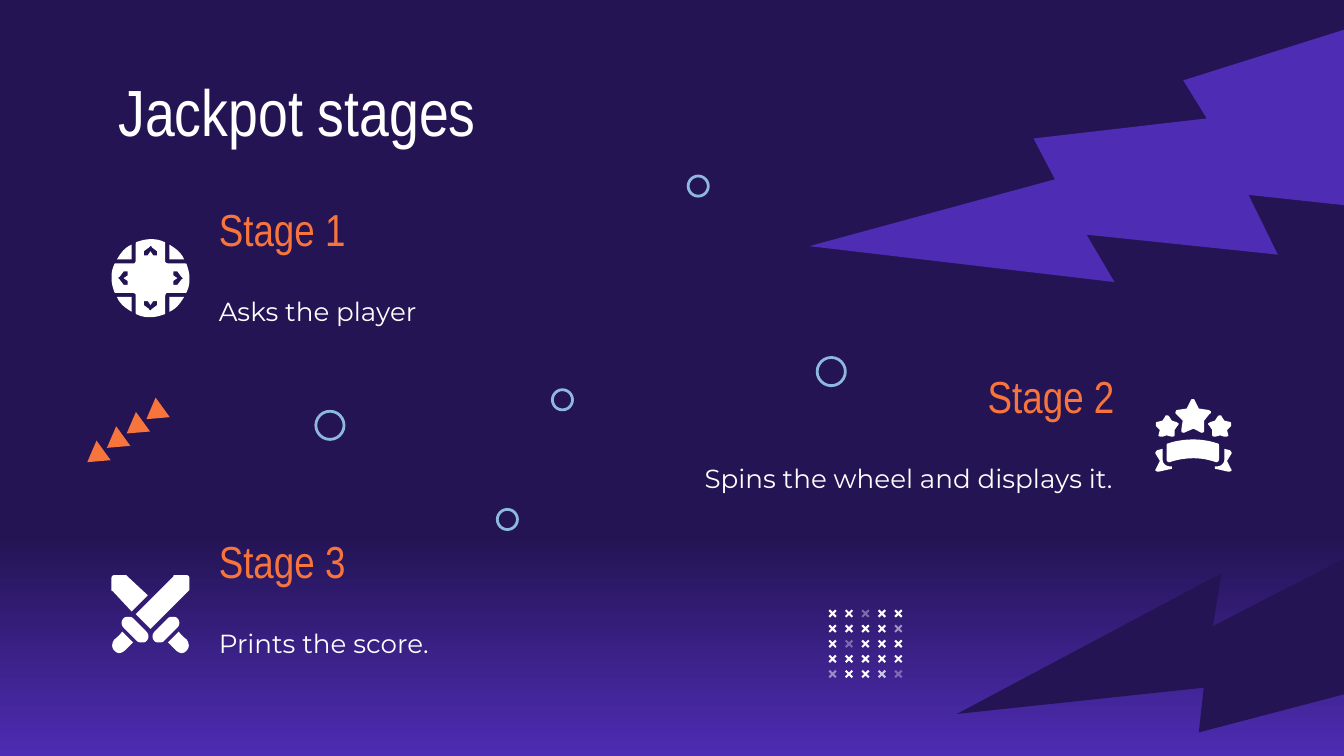
from dataclasses import dataclass
from typing import NamedTuple

from lxml import etree
from pptx import Presentation
from pptx.dml import color
from pptx.enum import shapes, text
from pptx.oxml import ns
from pptx.util import Inches, Pt

Contour = list[tuple[float, float]]


@dataclass(frozen=True)
class Theme:
    night: str = "241454"
    violet: str = "4E2CB3"
    white: str = "FFFFFF"
    orange: str = "F7743C"
    sky: str = "8EB8DE"
    heading_font: str = "Arial Narrow"
    body_font: str = "Montserrat"
    title_size: int = 35
    stage_size: int = 24
    body_size: int = 14


class Stage(NamedTuple):
    heading: str
    description: str
    heading_box: tuple[float, float, float, float]
    description_box: tuple[float, float, float, float]
    align: text.PP_ALIGN


class Ring(NamedTuple):
    left: float
    top: float
    size: float


THEME = Theme()
SLIDE_WIDTH = 10
SLIDE_HEIGHT = SLIDE_WIDTH * 9 / 16
LEFT, RIGHT = text.PP_ALIGN.LEFT, text.PP_ALIGN.RIGHT
STAGES = [
    Stage("Stage 1", "Asks the player", (1.53, 1.48, 2.89, 0.44), (1.53, 1.93, 4.49, 0.77), LEFT),
    Stage("Stage 3", "Prints the score.", (1.53, 3.95, 2.97, 0.44), (1.53, 4.4, 4.49, 0.77), LEFT),
    Stage("Stage 2", "Spins the wheel and displays it.",
          (5.5, 2.72, 2.89, 0.44), (3.89, 3.17, 4.49, 0.77), RIGHT),
]
RINGS = [Ring(4.11, 2.9, 0.15), Ring(6.08, 2.66, 0.21), Ring(2.35, 3.06, 0.21),
         Ring(3.7, 3.79, 0.15), Ring(5.12, 1.31, 0.15)]
# Opacity in percent of the crosses that are not solid, by (row, column)
FADED_CROSSES = {(0, 2): 36, (1, 4): 53, (2, 1): 34, (4, 0): 48, (4, 3): 75, (4, 4): 33}

PAD_CENTER = (1.12, 2.07)
PAD_CORNER = "M .98 1.82 C .93 1.84 .9 1.88 .87 1.93 L .98 1.93"
PAD_QUARTER = """M 1.12 1.78 C 1.15 1.78 1.18 1.78 1.22 1.8 C 1.22 1.8 1.23 1.8 1.23 1.81
    L 1.23 1.93 C 1.23 1.94 1.23 1.95 1.23 1.95 C 1.24 1.96 1.25 1.96 1.25 1.96
    L 1.37 1.96 C 1.38 1.96 1.39 1.96 1.39 1.97 C 1.4 2 1.41 2.03 1.41 2.07"""
PAD_ARROW = """M 1.12 1.83 C 1.12 1.83 1.13 1.83 1.13 1.84 L 1.17 1.87
    C 1.17 1.88 1.17 1.89 1.17 1.9 C 1.16 1.9 1.15 1.9 1.14 1.9 L 1.12 1.87 L 1.1 1.9
    C 1.09 1.9 1.08 1.9 1.07 1.9 C 1.07 1.89 1.07 1.88 1.07 1.87 L 1.11 1.84"""

SWORD_AXIS = 1.12
SWORD_PAIRS = [
    """M 1.33 4.7 L 1.25 4.78 L 1.31 4.84 C 1.32 4.85 1.34 4.86 1.35 4.86
    C 1.37 4.86 1.38 4.85 1.39 4.84 C 1.41 4.82 1.41 4.79 1.39 4.76 C 1.39 4.76 1.35 4.73 1.33 4.7""",
    """M 1.28 4.59 C 1.27 4.59 1.26 4.59 1.25 4.6 L 1.15 4.7 C 1.13 4.72 1.13 4.75 1.15 4.77
    C 1.16 4.78 1.17 4.78 1.18 4.78 C 1.2 4.78 1.21 4.78 1.22 4.77 L 1.32 4.67
    C 1.34 4.65 1.34 4.62 1.32 4.6 C 1.31 4.59 1.3 4.59 1.28 4.59""",
]
SWORD_BLADES = [
    """M .85 4.28 C .84 4.28 .83 4.29 .83 4.3 L .83 4.39 C .83 4.39 .83 4.4 .84 4.4 L .98 4.55
    L 1.1 4.43 L .95 4.29 C .95 4.29 .94 4.28 .94 4.28""",
    """M 1.3 4.28 C 1.29 4.28 1.29 4.29 1.29 4.29 L 1.01 4.57 L 1.12 4.68 L 1.4 4.4
    C 1.4 4.4 1.41 4.39 1.41 4.39 L 1.41 4.3 C 1.41 4.29 1.4 4.28 1.39 4.28""",
]

AWARD_AXIS = 8.88
AWARD_PAIRS = [
    """M 9.11 3.34 L 9.11 3.42 C 9.11 3.45 9.08 3.47 9.06 3.47 L 9.04 3.47 L 9.04 3.48
    C 9.04 3.49 9.04 3.49 9.05 3.49 L 9.14 3.51 C 9.16 3.51 9.17 3.5 9.16 3.49 L 9.13 3.43
    L 9.16 3.38 C 9.17 3.37 9.16 3.36 9.15 3.35""",
    """M 9.08 3.09 C 9.07 3.09 9.07 3.09 9.06 3.1 L 9.04 3.13 L 9.01 3.14
    C 9 3.14 9 3.15 8.99 3.15 C 8.99 3.16 8.99 3.16 9 3.17 L 9.02 3.2 L 9.02 3.24
    C 9.02 3.24 9.02 3.25 9.04 3.25 L 9.08 3.24 L 9.11 3.25 C 9.12 3.25 9.14 3.25 9.14 3.24
    L 9.13 3.2 L 9.16 3.17 C 9.16 3.16 9.16 3.16 9.16 3.15 C 9.16 3.15 9.16 3.14 9.15 3.14
    L 9.11 3.13 L 9.09 3.1 C 9.09 3.09 9.08 3.09 9.08 3.09""",
]
AWARD_CENTER = [
    """M 8.88 3.27 C 8.81 3.27 8.75 3.28 8.69 3.3 C 8.68 3.3 8.68 3.31 8.68 3.32 L 8.68 3.42
    C 8.68 3.43 8.69 3.44 8.7 3.44 C 8.76 3.42 8.82 3.41 8.88 3.41
    C 8.94 3.41 8.99 3.42 9.05 3.44 C 9.06 3.44 9.07 3.43 9.07 3.42 L 9.07 3.32
    C 9.07 3.31 9.07 3.3 9.06 3.3 C 9 3.28 8.94 3.27 8.88 3.27""",
    """M 8.88 2.97 C 8.87 2.97 8.86 2.97 8.86 2.98 L 8.83 3.04 L 8.76 3.05
    C 8.75 3.05 8.75 3.06 8.75 3.06 C 8.74 3.07 8.75 3.08 8.75 3.08 L 8.8 3.13 L 8.79 3.2
    C 8.79 3.21 8.79 3.22 8.81 3.22 L 8.88 3.19 L 8.94 3.22 C 8.95 3.22 8.96 3.22 8.96 3.2
    L 8.96 3.13 L 9 3.08 C 9.01 3.08 9.01 3.07 9.01 3.06 C 9 3.06 9 3.05 8.99 3.05
    L 8.92 3.04 L 8.89 2.98 C 8.89 2.97 8.88 2.97 8.88 2.97""",
]


def flatten(outline: str, steps: int = 6) -> Contour:
    """Turn M, L and C commands into points, sampling each cubic curve."""
    tokens = iter(outline.split())
    points: Contour = []
    for command in tokens:
        count = 3 if command == "C" else 1
        target = [(float(next(tokens)), float(next(tokens))) for _ in range(count)]
        if command == "C":
            controls = [points[-1], *target]
            for step in range(1, steps + 1):
                t = step / steps
                weights = ((1 - t) ** 3, 3 * t * (1 - t) ** 2, 3 * t * t * (1 - t), t ** 3)
                points.append(tuple(sum(w * c[i] for w, c in zip(weights, controls)) for i in (0, 1)))
        else:
            points += target
    return points


def mirrored(contour: Contour, axis: float) -> Contour:
    return [(2 * axis - x, y) for x, y in contour]


def quarter_turns(contour: Contour, center: tuple[float, float]) -> list[Contour]:
    """Return the contour at 0, 90, 180 and 270 degrees clockwise."""
    cx, cy = center
    turns = [contour]
    for _ in range(3):
        turns.append([(cx - (y - cy), cy + (x - cx)) for x, y in turns[-1]])
    return turns


def paint(shape, fill: str | None = None, line: str | None = None, opacity: int = 100) -> None:
    shape.shadow.inherit = False
    if fill:
        shape.fill.solid()
        shape.fill.fore_color.rgb = color.RGBColor.from_string(fill)
        if opacity < 100:
            srgb = shape._element.spPr.find(".//" + ns.qn("a:srgbClr"))
            etree.SubElement(srgb, ns.qn("a:alpha"), val=str(opacity * 1000))
    else:
        shape.fill.background()
    if line:
        shape.line.color.rgb = color.RGBColor.from_string(line)
        shape.line.width = Pt(1.5)
    else:
        shape.line.fill.background()


def add_preset(slide, kind, box, *, rotation: float = 0, **colours):
    shape = slide.shapes.add_shape(kind, *map(Inches, box))
    shape.rotation = rotation
    paint(shape, **colours)
    return shape


def add_outline(slide, contours: list[Contour]):
    """Draw one filled shape; contours after the first are holes."""
    builder = None
    for contour in contours:
        start, *rest = [(Inches(x), Inches(y)) for x, y in contour]
        if builder is None:
            builder = slide.shapes.build_freeform(*start, scale=1.0)
        else:
            builder.move_to(*start)
        builder.add_line_segments(rest, close=True)
    shape = builder.convert_to_shape()
    paint(shape, THEME.white)
    return shape


def add_icon(slide, outlines: list[list[Contour]]) -> None:
    slide.shapes.add_group_shape([add_outline(slide, contours) for contours in outlines])


def add_paired_icon(slide, pairs: list[str], singles: list[str], axis: float) -> None:
    halves = [flatten(outline) for outline in pairs]
    contours = halves + [mirrored(half, axis) for half in halves] + [flatten(s) for s in singles]
    add_icon(slide, [[contour] for contour in contours])


def write(shape, box, content: str, *, font: str, size: int, colour: str,
          align=LEFT, anchor=text.MSO_ANCHOR.MIDDLE) -> None:
    shape.left, shape.top, shape.width, shape.height = map(Inches, box)
    frame = shape.text_frame
    frame.word_wrap, frame.auto_size = True, text.MSO_AUTO_SIZE.NONE
    frame.vertical_anchor = anchor
    frame.margin_left = frame.margin_right = frame.margin_top = frame.margin_bottom = Inches(0.1)
    paragraph = frame.paragraphs[0]
    paragraph.alignment, paragraph.line_spacing = align, 1.0
    run = paragraph.add_run()
    run.text = content
    run.font.name, run.font.size = font, Pt(size)
    run.font.color.rgb = color.RGBColor.from_string(colour)


def main() -> None:
    presentation = Presentation()
    presentation.slide_width, presentation.slide_height = Inches(SLIDE_WIDTH), Inches(SLIDE_HEIGHT)
    slide = presentation.slides.add_slide(presentation.slide_layouts[5])
    fill = slide.background.fill
    fill.gradient()
    fill.gradient_angle = 270
    for stop, position, colour in zip(fill.gradient_stops, (0.71, 1), (THEME.night, THEME.violet)):
        stop.position, stop.color.rgb = position, color.RGBColor.from_string(colour)

    preset = shapes.MSO_SHAPE
    bolt = add_preset(slide, preset.LIGHTNING_BOLT, (6.76, -0.39, 3.69, 3.69), rotation=36.7, fill=THEME.violet)
    bolt._element.spPr.xfrm.set("flipH", "1")
    add_preset(slide, preset.LIGHTNING_BOLT, (7.8, 2.94, 3.6, 3.6), rotation=122, fill=THEME.night)

    write(slide.shapes.title, (0.78, 0.43, 8.43, 0.64), "Jackpot stages", font=THEME.heading_font,
          size=THEME.title_size, colour=THEME.white, anchor=text.MSO_ANCHOR.TOP)
    for stage in STAGES:
        for box, content, font, size, colour in (
            (stage.heading_box, stage.heading, THEME.heading_font, THEME.stage_size, THEME.orange),
            (stage.description_box, stage.description, THEME.body_font, THEME.body_size, THEME.white),
        ):
            write(slide.shapes.add_textbox(0, 0, 0, 0), box, content,
                  font=font, size=size, colour=colour, align=stage.align)

    add_paired_icon(slide, SWORD_PAIRS, SWORD_BLADES, SWORD_AXIS)
    add_paired_icon(slide, AWARD_PAIRS, AWARD_CENTER, AWARD_AXIS)
    pad = sum(quarter_turns(flatten(PAD_QUARTER), PAD_CENTER), [])
    arrows = quarter_turns(flatten(PAD_ARROW), PAD_CENTER)
    corners = quarter_turns(flatten(PAD_CORNER), PAD_CENTER)
    add_icon(slide, [[pad, *arrows]] + [[corner] for corner in corners])

    for row in range(5):
        for column in range(5):
            box = (6.16 + 0.49 * column / 4, 4.53 + 0.45 * row / 4, 0.07, 0.07)
            cross = add_preset(slide, preset.CROSS, box, rotation=315, fill=THEME.white,
                               opacity=FADED_CROSSES.get((row, column), 100))
            cross.adjustments[0] = 0.39
    for index in range(4):
        box = (1.06 - 0.44 * index / 3, 3 + 0.32 * index / 3, 0.18, 0.15)
        add_preset(slide, preset.ISOSCELES_TRIANGLE, box, rotation=234.2, fill=THEME.orange)
    for ring in RINGS:
        add_preset(slide, preset.OVAL, (ring.left, ring.top, ring.size, ring.size), line=THEME.sky)
    presentation.save("out.pptx")


if __name__ == "__main__":
    main()
